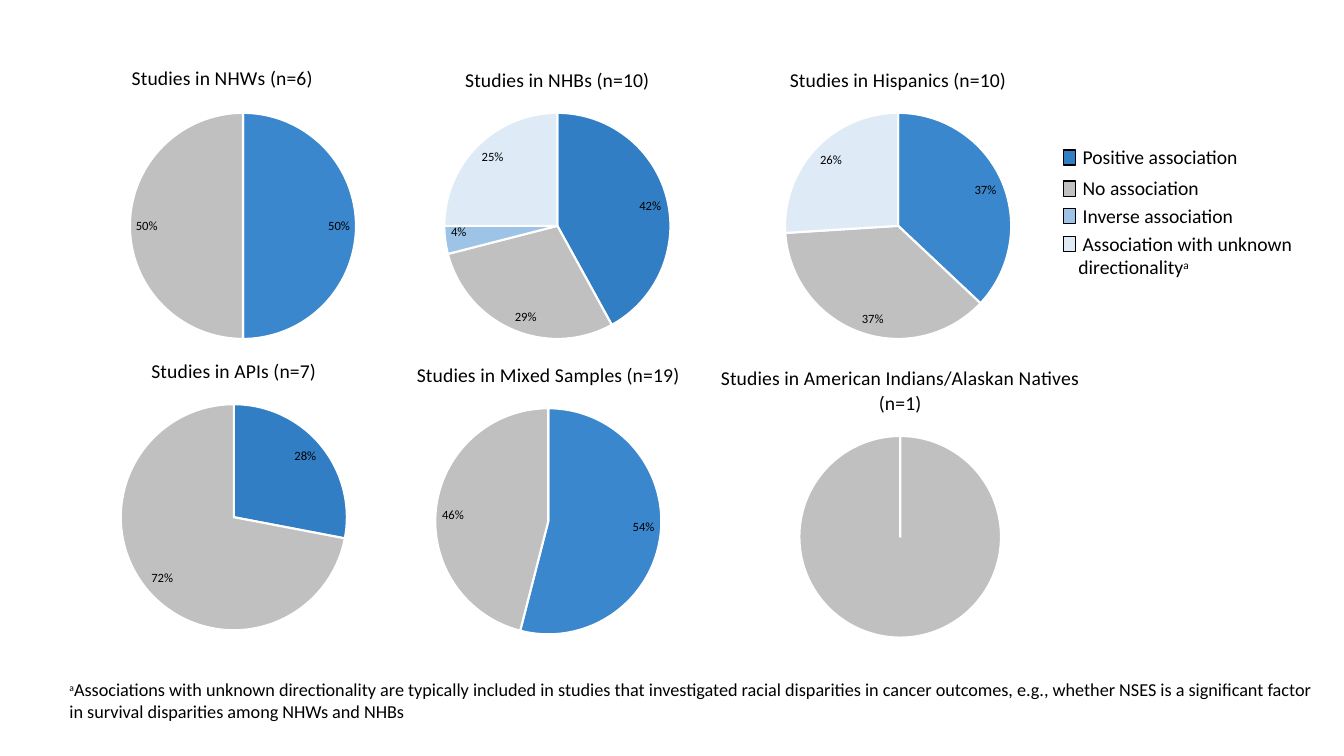
from dataclasses import dataclass

from pptx import Presentation
from pptx.chart.data import CategoryChartData
from pptx.dml.color import RGBColor
from pptx.enum.chart import XL_CHART_TYPE, XL_LABEL_POSITION
from pptx.enum.shapes import MSO_SHAPE
from pptx.oxml import parse_xml
from pptx.oxml.ns import nsdecls, qn
from pptx.util import Pt


@dataclass(frozen=True)
class Theme:
    font: str = "Calibri"
    text: str = "000000"
    border: str = "FFFFFF"
    positive: str = "327EC4"
    positive_light: str = "3B87CD"
    none: str = "C0C0C0"
    inverse: str = "9DC3E6"
    unknown: str = "DEEBF7"
    title_size: int = 14
    legend_size: int = 14
    note_size: int = 13
    note_mark_size: int = 12
    label_size: int = 9


THEME = Theme()


@dataclass(frozen=True)
class StudyPie:
    title: str
    left: float
    top: float
    shares: tuple[int, int, int, int]
    positive: str = THEME.positive
    width: float = 256.3
    diameter: float = 161.5
    center_y: float = 124.7
    labelled: bool = True
    title_at: tuple[float, float] | None = None


@dataclass(frozen=True)
class LegendEntry:
    lines: tuple[str, ...]
    top: float
    color: str
    mark: str = ""


PIES = (
    StudyPie("Studies in NHWs (n=6)", 45.4, 36.7, (50, 50, 0, 0),
             THEME.positive_light, title_at=(0.18, 0.03)),
    StudyPie("Studies in NHBs (n=10)", 270, 36.7, (42, 29, 4, 25)),
    StudyPie("Studies in Hispanics (n=10)", 513.4, 36.7, (37, 37, 0, 26),
             THEME.positive_light),
    StudyPie("Studies in APIs (n=7)", 38.9, 244.8, (28, 72, 0, 0)),
    StudyPie("Studies in Mixed Samples (n=19)", 263.5, 247.7, (54, 46, 0, 0),
             THEME.positive_light),
    StudyPie("Studies in American Indians/Alaskan Natives (n=1)", 463, 249.8,
             (0, 100, 0, 0), THEME.positive_light, width=360, diameter=144,
             center_y=133.7, labelled=False),
)
PIE_HEIGHT = 216

LEGEND = (
    LegendEntry(("Positive association",), 100.1, THEME.positive),
    LegendEntry(("No association",), 122.4, THEME.none),
    LegendEntry(("Inverse association",), 141.8, THEME.inverse),
    LegendEntry(("Association with unknown", "directionality"), 162,
                THEME.unknown, mark="a"),
)
LEGEND_LEFT, LEGEND_INDENT = 763.2, 3
SWATCH_LEFT, SWATCH_DROP = 759.6, 7

NOTE = ("Associations with unknown directionality are typically included in "
        "studies that investigated racial disparities in cancer outcomes, e.g., "
        "whether NSES is a significant factor in survival disparities among "
        "NHWs and NHBs")


def style_font(font, size: float) -> None:
    font.name = THEME.font
    font.size = Pt(size)
    font.bold = False
    font.color.rgb = RGBColor.from_string(THEME.text)


def add_superscript(paragraph, mark: str, size: float) -> None:
    run = paragraph.add_run()
    run.text = mark
    style_font(run.font, size)
    run.font._element.set("baseline", "30000")


def set_layout(parent, index: int, **fractions: float) -> None:
    """Place a chart part by fractions of the chart's size."""
    for old in parent.findall(qn("c:layout")):
        parent.remove(old)
    target = '<c:layoutTarget val="inner"/>' if "w" in fractions else ""
    modes = '<c:xMode val="edge"/><c:yMode val="edge"/>'
    values = "".join(f'<c:{key} val="{value:.4f}"/>' for key, value in fractions.items())
    parent.insert(index, parse_xml(
        f'<c:layout {nsdecls("c")}><c:manualLayout>{target}{modes}{values}'
        "</c:manualLayout></c:layout>"))


def label_shares(series, shares: tuple[int, ...]) -> None:
    labels = series.data_labels
    labels.show_value = False
    labels.show_percentage = True
    labels.number_format = "0%"
    labels.number_format_is_linked = False
    labels.position = XL_LABEL_POSITION.INSIDE_END
    style_font(labels.font, THEME.label_size)
    empty = [i for i, share in enumerate(shares) if share == 0]
    for order, i in enumerate(empty):
        labels._element.insert(order, parse_xml(
            f'<c:dLbl {nsdecls("c")}><c:idx val="{i}"/><c:delete val="1"/></c:dLbl>'))


def add_pie(slide, pie: StudyPie) -> None:
    data = CategoryChartData()
    data.categories = ["1", "2", "3", "4"]
    data.add_series("Series 1", pie.shares)
    chart = slide.shapes.add_chart(
        XL_CHART_TYPE.PIE, Pt(pie.left), Pt(pie.top), Pt(pie.width),
        Pt(PIE_HEIGHT), data).chart
    chart.has_legend = False
    style_font(chart.font, 10)

    # Title
    heading = chart.chart_title.text_frame
    heading.text = pie.title
    style_font(heading.paragraphs[0].runs[0].font, THEME.title_size)
    if pie.title_at:
        x, y = pie.title_at
        set_layout(chart.chart_title._element, 1, x=x, y=y)

    # Slices
    set_layout(chart._chartSpace.chart.plotArea, 0,
               x=0.5 - pie.diameter / 2 / pie.width,
               y=(pie.center_y - pie.diameter / 2) / PIE_HEIGHT,
               w=pie.diameter / pie.width, h=pie.diameter / PIE_HEIGHT)
    plot = chart.plots[0]
    plot.vary_by_categories = True
    series = plot.series[0]
    colors = (pie.positive, THEME.none, THEME.inverse, THEME.unknown)
    for i, color in enumerate(colors):
        look = series.points[i].format
        look.fill.solid()
        look.fill.fore_color.rgb = RGBColor.from_string(color)
        look.line.color.rgb = RGBColor.from_string(THEME.border)
        look.line.width = Pt(1.5)
    if pie.labelled:
        label_shares(series, pie.shares)


def add_legend_entry(slide, entry: LegendEntry) -> None:
    frame = slide.shapes.add_textbox(
        Pt(LEGEND_LEFT), Pt(entry.top), Pt(190),
        Pt(7.4 + 17 * len(entry.lines))).text_frame
    frame.word_wrap = True
    frame.text = "\n".join(entry.lines)
    for paragraph in frame.paragraphs:
        style_font(paragraph.runs[0].font, THEME.legend_size)
    frame.paragraphs[0]._p.get_or_add_pPr().set("indent", str(Pt(LEGEND_INDENT)))
    if entry.mark:
        add_superscript(frame.paragraphs[-1], entry.mark, THEME.legend_size)

    swatch = slide.shapes.add_shape(
        MSO_SHAPE.RECTANGLE, Pt(SWATCH_LEFT), Pt(entry.top + SWATCH_DROP),
        Pt(8.6), Pt(10.8))
    swatch.shadow.inherit = False
    swatch.fill.solid()
    swatch.fill.fore_color.rgb = RGBColor.from_string(entry.color)
    swatch.line.color.rgb = RGBColor.from_string(THEME.text)
    swatch.line.width = Pt(1)


def add_footnote(slide) -> None:
    frame = slide.shapes.add_textbox(Pt(42.5), Pt(481), Pt(901.4), Pt(39)).text_frame
    frame.word_wrap = True
    paragraph = frame.paragraphs[0]
    add_superscript(paragraph, "a", THEME.note_mark_size)
    note = paragraph.add_run()
    note.text = NOTE
    style_font(note.font, THEME.note_size)


presentation = Presentation()
presentation.slide_width, presentation.slide_height = Pt(960), Pt(540)
association_slide = presentation.slides.add_slide(presentation.slide_layouts[6])

for legend_entry in LEGEND:
    add_legend_entry(association_slide, legend_entry)
add_footnote(association_slide)
for study_pie in PIES:
    add_pie(association_slide, study_pie)

presentation.save("out.pptx")
